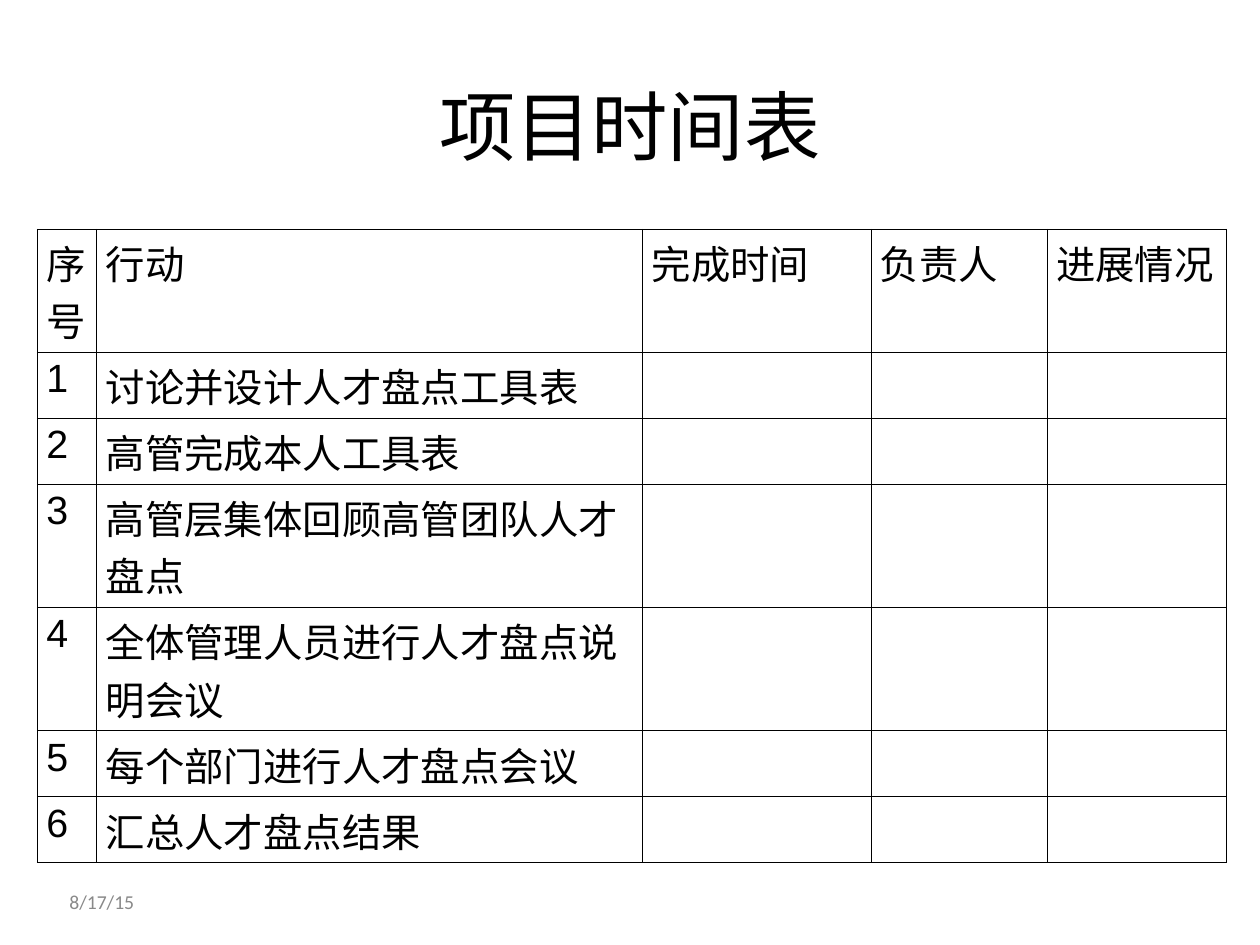
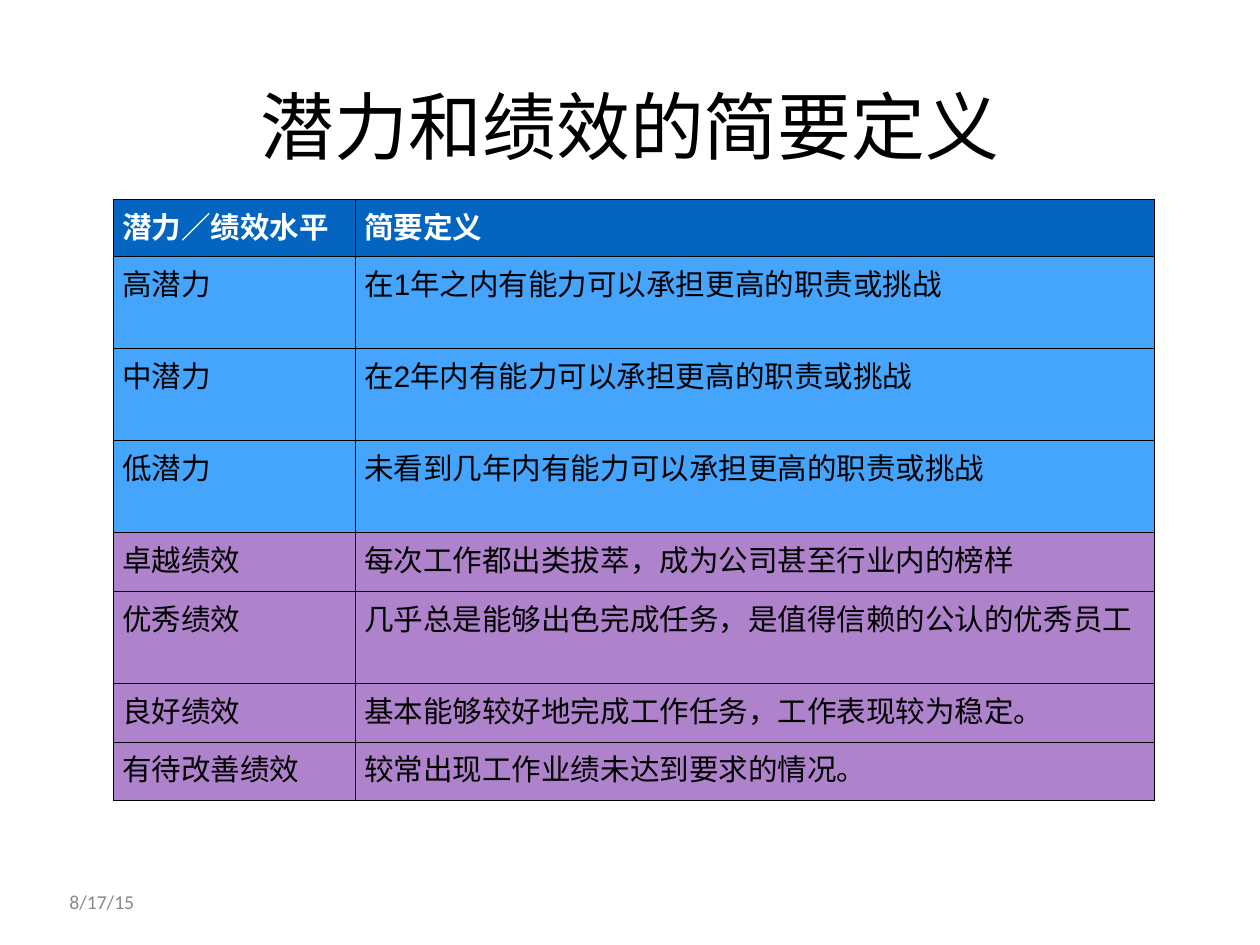
import pptx
import pptx.util
import pptx.dml.color
import pptx.enum.text
import pptx.oxml
import pptx.oxml.ns
from dataclasses import dataclass


@dataclass(frozen=True)
class Theme:
    black: str = "000000"
    white: str = "FFFFFF"
    grey: str = "898989"
    header: str = "0365C0"
    potential: str = "45A4FC"
    performance: str = "AF82CC"
    title_font: str = "Calibri"
    body_font: str = "Arial"
    date_size: int = 16
    schedule_size: int = 32
    definition_size: int = 24
    border: float = 1
    inset: float = 0.65


THEME = Theme()
COLS, ROWS = 128, 96  # the slide as a grid of square units
TITLE_BOX = (6.4, 2.15, 115.2, 21.15)
DATE_BOX = (6.4, 89.75, 29.9, 3.7)
TITLE_ONLY = 5


def unit(n):
    """Length of n grid units, each 8 points."""
    return pptx.util.Pt(8 * n)


def style(p, size, font, color, bold=False):
    for r in p.runs:
        r.font.size = pptx.util.Pt(size)
        r.font.name = font
        r.font.bold = bold
        r.font.color.rgb = pptx.dml.color.RGBColor.from_string(color)


def place_text(sp, box, text, size, color, align):
    sp.left, sp.top, sp.width, sp.height = map(unit, box)
    tf = sp.text_frame
    tf.word_wrap = True
    tf.auto_size = pptx.enum.text.MSO_AUTO_SIZE.NONE
    tf.vertical_anchor = pptx.enum.text.MSO_ANCHOR.MIDDLE
    tf.margin_left = tf.margin_right = unit(THEME.inset)
    tf.margin_top = tf.margin_bottom = unit(THEME.inset)
    tf.text = text
    p = tf.paragraphs[0]
    p.alignment = align
    style(p, size, THEME.title_font, color)


def add_base_slide(prs, title, title_size):
    """Slide with the shared title and date."""
    slide = prs.slides.add_slide(prs.slide_layouts[TITLE_ONLY])
    align = pptx.enum.text.PP_ALIGN
    date = slide.shapes.add_textbox(*map(unit, DATE_BOX))
    place_text(date, DATE_BOX, "8/17/15", THEME.date_size, THEME.grey, align.LEFT)
    place_text(slide.shapes.title, TITLE_BOX, title, title_size, THEME.black, align.CENTER)
    return slide


def add_borders(cell):
    tc_pr = cell._tc.get_or_add_tcPr()
    for side in ("lnL", "lnR", "lnT", "lnB"):
        tc_pr.append(pptx.oxml.parse_xml(
            f'<a:{side} {pptx.oxml.ns.nsdecls("a")} w="{pptx.util.Pt(THEME.border)}">'
            f'<a:solidFill><a:srgbClr val="{THEME.black}"/></a:solidFill></a:{side}>'))


def add_grid_table(slide, left, top, widths, heights, rows, size, fills, header_color, header_bold):
    """Bordered table; fills holds one colour for each row."""
    frame = slide.shapes.add_table(len(heights), len(widths), unit(left), unit(top),
                                   unit(sum(widths)), unit(sum(heights)))
    table = frame.table
    table.first_row = table.horz_banding = False
    for column, width in zip(table.columns, widths):
        column.width = unit(width)
    for i, (row, height, texts, fill) in enumerate(zip(table.rows, heights, rows, fills)):
        row.height = unit(height)
        color, bold = (header_color, header_bold) if i == 0 else (THEME.black, False)
        for j, cell in enumerate(row.cells):
            add_borders(cell)
            cell.fill.solid()
            cell.fill.fore_color.rgb = pptx.dml.color.RGBColor.from_string(fill)
            if j < len(texts):
                cell.text = texts[j]
                style(cell.text_frame.paragraphs[0], size, THEME.body_font, color, bold)


def schedule_slide(prs):
    slide = add_base_slide(prs, "项目时间表", 62)
    actions = ["讨论并设计人才盘点工具表", "高管完成本人工具表",
               "高管层集体回顾高管团队人才盘点", "全体管理人员进行人才盘点说明会议",
               "每个部门进行人才盘点会议", "汇总人才盘点结果"]
    rows = [("序号", "行动", "完成时间", "负责人", "进展情况")]
    rows += [(str(n), action) for n, action in enumerate(actions, 1)]
    one, two = 6.7, 12.5  # row heights for one and two lines
    add_grid_table(slide, 3.8, 23.3, [6.05, 55.45, 23.2, 17.9, 18.2],
                   [two, one, one, two, two, one, one], rows, THEME.schedule_size,
                   [THEME.white] * len(rows), THEME.black, False)


def definition_slide(prs):
    slide = add_base_slide(prs, "潜力和绩效的简要定义", 60)
    rows = [
        ("潜力／绩效水平", "简要定义"),
        ("高潜力", "在1年之内有能力可以承担更高的职责或挑战"),
        ("中潜力", "在2年内有能力可以承担更高的职责或挑战"),
        ("低潜力", "未看到几年内有能力可以承担更高的职责或挑战"),
        ("卓越绩效", "每次工作都出类拔萃，成为公司甚至行业内的榜样"),
        ("优秀绩效", "几乎总是能够出色完成任务，是值得信赖的公认的优秀员工"),
        ("良好绩效", "基本能够较好地完成工作任务，工作表现较为稳定。"),
        ("有待改善绩效", "较常出现工作业绩未达到要求的情况。"),
    ]
    low, high = 5.95, 9.35
    fills = [THEME.header] + [THEME.potential] * 3 + [THEME.performance] * 4
    add_grid_table(slide, 11.5, 20.25, [24.6, 81.2],
                   [5.85, high, high, high, low, high, low, low], rows,
                   THEME.definition_size, fills, THEME.white, True)


def main():
    prs = pptx.Presentation()
    prs.slide_width, prs.slide_height = unit(COLS), unit(ROWS)
    schedule_slide(prs)
    definition_slide(prs)
    prs.save("out.pptx")


if __name__ == "__main__":
    main()
